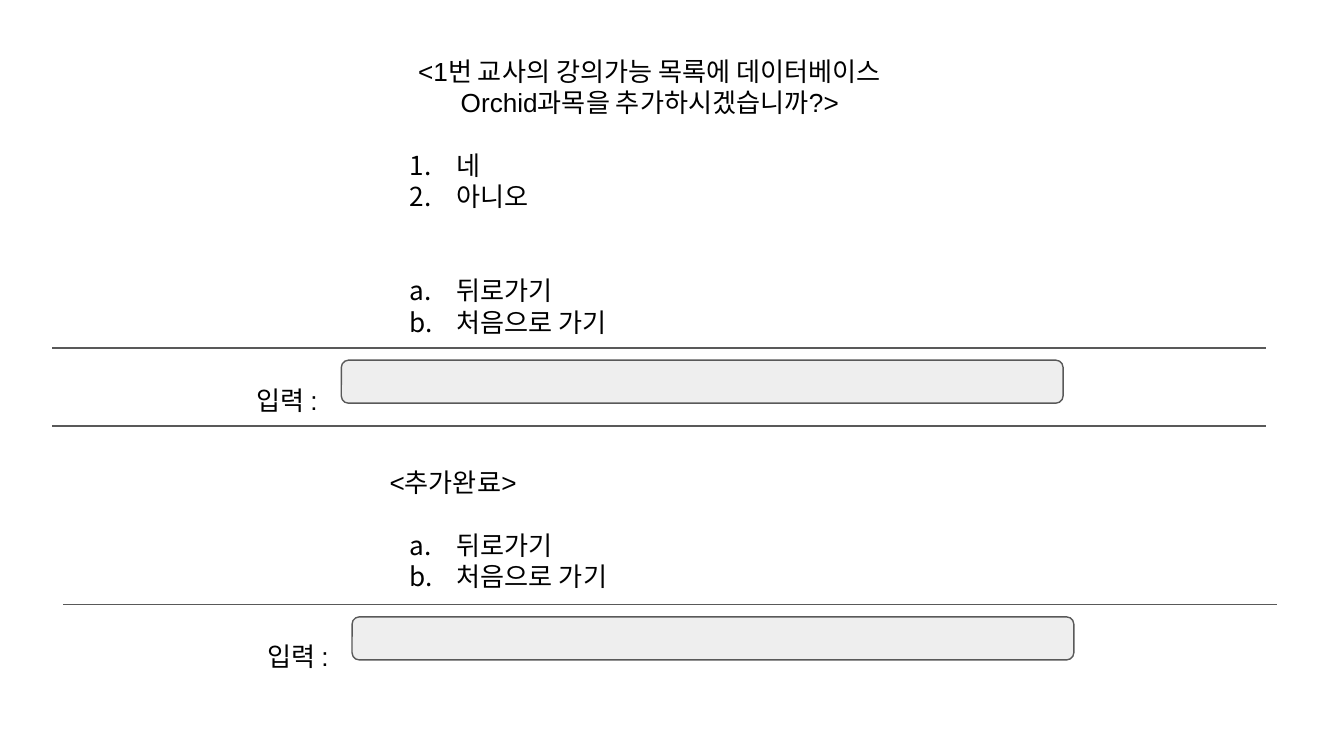
from lxml.etree import SubElement
from pptx import Presentation
from pptx.dml.color import RGBColor
from pptx.enum.shapes import MSO_CONNECTOR, MSO_SHAPE
from pptx.enum.text import PP_ALIGN
from pptx.oxml.ns import qn
from pptx.util import Inches, Pt

THEME = {
    "text": RGBColor(0, 0, 0),
    "line": RGBColor.from_string("595959"),
    "field": RGBColor.from_string("EEEEEE"),
    "font": "Arial",
    "size": Pt(14),
    "line_width": Pt(0.75),
}
LINE_GAP = 16.8  # one line of text, in points

deck = Presentation()
deck.slide_width, deck.slide_height = Inches(10), Inches(10 * 9 / 16)
slide = deck.slides.add_slide(deck.slide_layouts[6])


def add_text(left, top, width, height, lines):
    """Add a text box from (text, numbering, paragraph format) tuples."""
    box = slide.shapes.add_textbox(Inches(left), Inches(top), Inches(width), Inches(height))
    frame = box.text_frame
    frame.word_wrap = True
    for side in ("left", "top", "right", "bottom"):
        setattr(frame, f"margin_{side}", Inches(0.1))
    for index, (text, numbering, formats) in enumerate(lines):
        para = frame.paragraphs[0] if index == 0 else frame.add_paragraph()
        if numbering:
            properties = para._p.get_or_add_pPr()
            properties.set("marL", str(Inches(0.5)))
            properties.set("indent", str(Inches(-0.35)))
            bullet_color = SubElement(properties, qn("a:buClr"))
            SubElement(bullet_color, qn("a:srgbClr"), val=str(THEME["text"]))
            SubElement(properties, qn("a:buAutoNum"), type=numbering)
        for name, value in formats.items():
            setattr(para, name, value)
        span = para.add_run()
        span.text = text
        span.font.name = THEME["font"]
        span.font.size = THEME["size"]
        span.font.color.rgb = THEME["text"]


def add_rule(left, top):
    rule = slide.shapes.add_connector(
        MSO_CONNECTOR.STRAIGHT, Inches(left), Inches(top), Inches(left + 9.03), Inches(top))
    rule.line.color.rgb = THEME["line"]
    rule.line.width = THEME["line_width"]
    SubElement(rule._element.spPr, qn("a:effectLst"))


# Question and confirmation, each followed by the ways back
question = [
    ("<1번 교사의 강의가능 목록에 데이터베이스 Orchid과목을 추가하시겠습니까?>", None,
     {"alignment": PP_ALIGN.CENTER}),
    ("네", "arabicPeriod", {"space_before": Pt(LINE_GAP)}),
    ("아니오", "arabicPeriod", {}),
]
confirmation = [("<추가완료>", None, {})]
for position, message, gap_lines in (
    ((2.8, 0.31, 4.07, 2.25), question, 2),
    ((2.8, 3.37, 3.75, 1.1), confirmation, 1),
):
    add_text(*position, [
        *message,
        ("뒤로가기", "alphaLcPeriod", {"space_before": Pt(LINE_GAP * gap_lines)}),
        ("처음으로 가기", "alphaLcPeriod", {}),
    ])

# Input rows: rule, label and field
for left, top in ((0.39, 2.59), (0.47, 4.5)):
    add_rule(left, top)
    add_text(left + 1.42, top + 0.05, 7.07, 0.44, [("입력 :", None, {"line_spacing": 1.5})])
    field = slide.shapes.add_shape(
        MSO_SHAPE.ROUNDED_RECTANGLE,
        Inches(left + 2.15), Inches(top + 0.09), Inches(5.37), Inches(0.32))
    field.shadow.inherit = False
    field.fill.solid()
    field.fill.fore_color.rgb = THEME["field"]
    field.line.color.rgb = THEME["line"]
    field.line.width = THEME["line_width"]

add_rule(0.39, 3.17)

deck.save("out.pptx")
